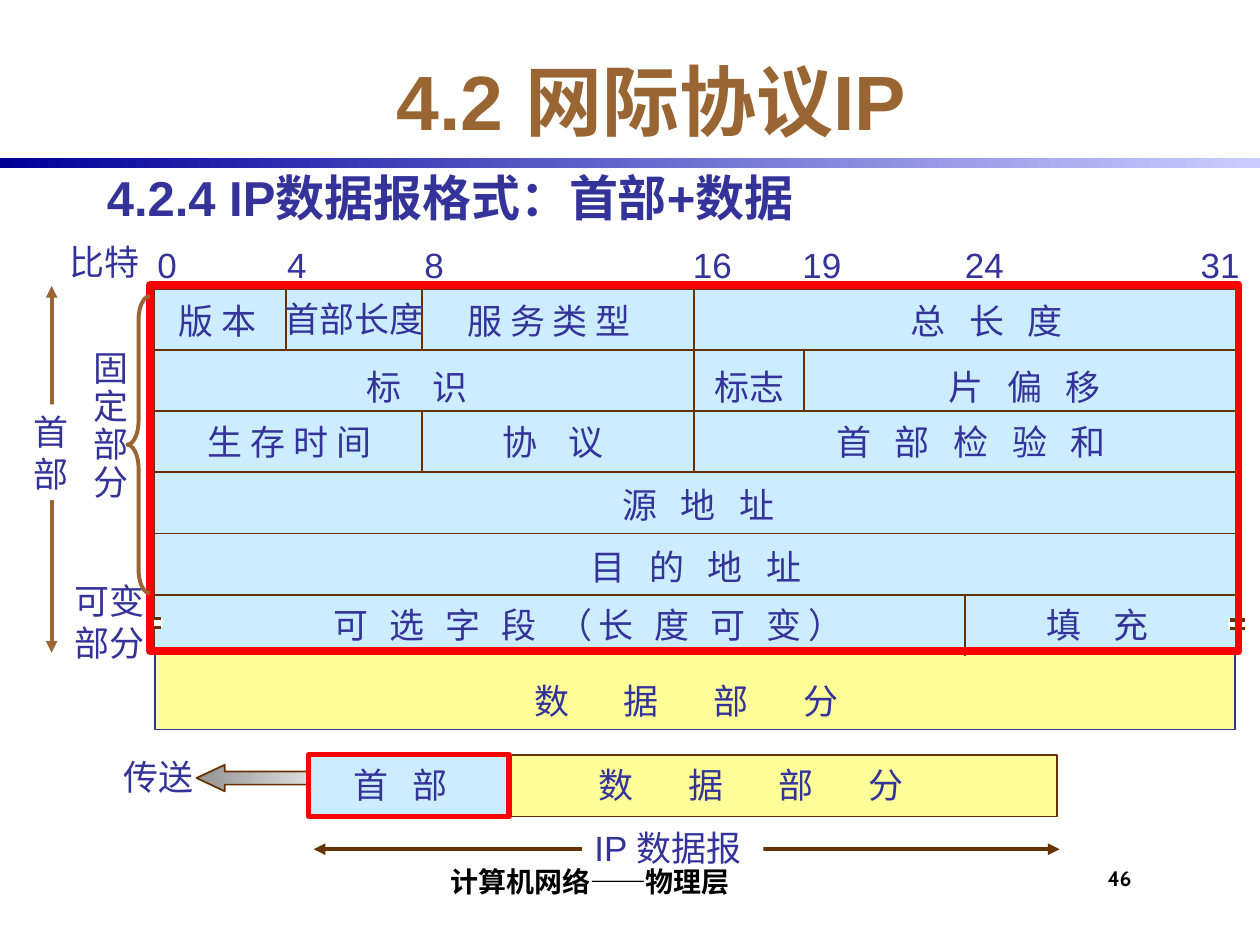
"""Build a slide that explains the layout of an IP datagram."""
import pptx
import pptx.dml.color
import pptx.enum.shapes
import pptx.enum.text
import pptx.oxml
import pptx.oxml.ns
import pptx.util

Inches, Pt = pptx.util.Inches, pptx.util.Pt
RGBColor = pptx.dml.color.RGBColor
SHAPE = pptx.enum.shapes.MSO_SHAPE
ALIGN = pptx.enum.text.PP_ALIGN
ANCHOR = pptx.enum.text.MSO_ANCHOR
AUTO = pptx.enum.text.MSO_AUTO_SIZE

INK = RGBColor(0x33, 0x33, 0x99)
TAN = RGBColor(0x99, 0x66, 0x33)
BROWN = RGBColor(0x66, 0x33, 0x00)
RED = RGBColor(0xFF, 0x00, 0x00)
BLACK = RGBColor(0x00, 0x00, 0x00)
WHITE = RGBColor(0xFF, 0xFF, 0xFF)
SKY = RGBColor(0xCC, 0xEC, 0xFF)
YELLOW = RGBColor(0xFF, 0xFF, 0x99)
LILAC = RGBColor(0xCC, 0xCC, 0xFF)
NAVY = RGBColor(0x00, 0x00, 0x99)
SILVER = RGBColor(0xDD, 0xDD, 0xDD)
GRAY = RGBColor(0x92, 0x92, 0x92)

TOP, ROW = 2.29, 0.486
SPACE = 4.48
SLACK = 0.4


def write(tf, text, size=20, font="Arial", color=INK, bold=False, align=ALIGN.LEFT,
          anchor=ANCHOR.TOP, wrap=False, leading=None, spacing=0,
          insets=(0.1, 0.05, 0.1, 0.05)):
    tf.margin_left, tf.margin_top, tf.margin_right, tf.margin_bottom = map(Inches, insets)
    tf.word_wrap = wrap
    tf.auto_size = AUTO.NONE if wrap else AUTO.SHAPE_TO_FIT_TEXT
    tf.vertical_anchor = anchor
    for i, line in enumerate(text.split("\n")):
        p = tf.paragraphs[0] if i == 0 else tf.add_paragraph()
        p.alignment = align
        if leading:
            p.line_spacing = leading
        r = p.add_run()
        r.text = line
        r.font.size, r.font.name, r.font.bold = Pt(size), font, bold
        r.font.color.rgb = color
        if spacing:
            r.font._element.set("spc", str(round(spacing * 100)))


class Canvas:
    def __init__(self, slide, line_color=BROWN):
        self.s = slide
        self.line_color = line_color

    def text(self, text, x, y, w, h=0.43, **style):
        box = self.s.shapes.add_textbox(Inches(x), Inches(y), Inches(w), Inches(h))
        write(box.text_frame, text, **style)

    def spaced(self, text, x, y, w, gap):
        if gap == 1:
            self.text(text, x, y, w)
        else:
            self.text(text, x, y, w + SLACK, wrap=True, spacing=SPACE * (gap - 1) / 2)

    def shape(self, x, y, w, h, kind=SHAPE.RECTANGLE, fill=None, line=None, width=1,
              adj=(), text=None, **style):
        sp = self.s.shapes.add_shape(kind, Inches(x), Inches(y), Inches(w), Inches(h))
        sp.shadow.inherit = False
        for i, value in enumerate(adj):
            sp.adjustments[i] = value
        if fill is None:
            sp.fill.background()
        elif isinstance(fill, list):
            sp.fill.gradient()
            sp.fill.gradient_angle = 180
            for stop, color in zip(sp.fill.gradient_stops, fill):
                stop.color.rgb = color
        else:
            sp.fill.solid()
            sp.fill.fore_color.rgb = fill
        if line is None:
            sp.line.fill.background()
        else:
            sp.line.color.rgb = line
            sp.line.width = Pt(width)
        if text:
            write(sp.text_frame, text, **style)

    def line(self, x1, y1, x2, y2, width=1, color=None, arrows=False):
        c = self.s.shapes.add_connector(
            pptx.enum.shapes.MSO_CONNECTOR.STRAIGHT,
            Inches(x1), Inches(y1), Inches(x2), Inches(y2))
        c.line.color.rgb = color or self.line_color
        c.line.width = Pt(width)
        qn = pptx.oxml.ns.qn
        if arrows:
            ln = c.line._get_or_add_ln()
            for tag in ("a:headEnd", "a:tailEnd"):
                ln.append(ln.makeelement(qn(tag), {"type": "triangle"}))
        sp_pr = c._element.spPr
        sp_pr.append(sp_pr.makeelement(qn("a:effectLst"), {}))

    def break_mark(self, x, y):
        self.shape(x, y, 0.14, 0.08, fill=WHITE)
        for dy in (0.01, 0.08):
            self.line(x + 0.01, y + dy, x + 0.13, y + dy, width=2)


def add_header_grid(c):
    c.shape(1.22, TOP, 8.6, 2.89, fill=SKY, line=BROWN, width=2)
    c.shape(1.23, 5.19, 8.57, 0.6, fill=YELLOW, line=INK)
    for i in range(1, 6):
        c.line(1.21, TOP + i * ROW, 9.83, TOP + i * ROW)
    for x, first, last in [(2.27, 0, 1), (3.35, 0, 1), (3.35, 2, 3), (5.51, 0, 3),
                           (7.66, 5, 6), (6.38, 1, 2)]:
        c.line(x, TOP + first * ROW, x, TOP + last * ROW)
    for bit, x in [("0", 1.15), ("4", 2.18), ("8", 3.27), ("16", 5.4),
                   ("19", 6.27), ("24", 7.56), ("31", 9.43)]:
        c.text(bit, x, 1.88, 0.35 if len(bit) == 1 else 0.51)
    for label, x, y, w, gap in [
            ("版 本", 1.32, 2.33, 0.82, 1), ("首部长度", 2.16, 2.31, 1.31, 1),
            ("服 务 类 型", 3.61, 2.33, 1.5, 1), ("总 长 度", 7.13, 2.33, 1.41, 3),
            ("标 识", 2.81, 2.85, 1, 4), ("标志", 5.57, 2.85, 0.76, 1),
            ("片 偏 移", 7.43, 2.85, 1.41, 3), ("生 存 时 间", 1.55, 3.29, 1.5, 1),
            ("协 议", 3.89, 3.29, 1, 4), ("首 部 检 验 和", 6.54, 3.29, 2.34, 3),
            ("源 地 址", 4.84, 3.79, 1.41, 3), ("目 的 地 址", 4.59, 4.28, 1.87, 3),
            ("填 充", 8.21, 4.74, 1, 4), ("数 据 部 分", 4.14, 5.34, 3.18, 7)]:
        c.spaced(label, x, y, w, gap)
    c.text("可 选 字 段 （长 度 可 变）", 2.55, 4.74, 4.23 + SLACK, wrap=True, spacing=3.7)
    c.break_mark(1.15, 4.9)
    c.break_mark(9.75, 4.91)


def add_side_labels(c):
    c.text("比特", 0.45, 1.86, 0.76)
    c.text("固\n定\n部\n分", 0.64, 2.74, 0.48, 1.3, leading=0.9)
    c.text("可变\n部分", 0.49, 4.55, 0.76, 0.76)
    c.line(0.41, 2.27, 0.41, 5.18, width=2.25, color=TAN, arrows=True)
    c.shape(0.17, 3.21, 0.48, 0.76, fill=WHITE, text="首\n部")


def add_datagram(c):
    c.line(2.49, 6.74, 8.41, 6.74, width=2.25, arrows=True)
    c.shape(1.56, 6.07, 0.9, 0.21, kind=SHAPE.LEFT_ARROW, fill=[SILVER, GRAY],
            line=BROWN, adj=(0.5, 1.07))
    c.shape(2.45, 5.99, 1.57, 0.49, fill=SKY, line=BROWN)
    c.shape(4.03, 5.99, 4.36, 0.49, fill=YELLOW, line=BROWN)
    c.spaced("数 据 部 分", 4.65, 6.01, 3.18, 7)
    c.spaced("首 部", 2.71, 6.01, 0.94, 3)
    c.text("传送", 0.88, 5.95, 0.76)
    c.shape(4.62, 6.51, 1.44, 0.43, fill=WHITE, text="IP 数据报")


def main():
    prs = pptx.Presentation()
    prs.slide_width, prs.slide_height = Inches(10), Inches(7.5)
    c = Canvas(prs.slides.add_slide(prs.slide_layouts[6]))
    c.shape(0, 1.25, 10, 0.08, fill=[LILAC, NAVY])
    c.text("46", 8.75, 6.83, 0.58, 0.42, size=12, font="Cabin", color=BLACK, bold=True,
           wrap=True, insets=(0.04, 0.04, 0, 0))
    c.text("4.2 网际协议IP", 0.92, 0.33, 8.5, 0.92, size=44, color=TAN, bold=True,
           align=ALIGN.CENTER, anchor=ANCHOR.MIDDLE, wrap=True)
    c.text("4.2.4 IP数据报格式：首部+数据", 0.75, 1.33, 8.5, 0.5, size=28, bold=True,
           leading=0.9, wrap=True)
    add_header_grid(c)
    add_datagram(c)
    add_side_labels(c)
    c.shape(1.19, 2.26, 8.64, 2.91, line=RED, width=4.5)
    c.shape(2.45, 5.99, 1.59, 0.49, line=RED, width=3)
    c.shape(1.01, 2.35, 0.18, 2.36, kind=SHAPE.LEFT_BRACE, line=TAN, width=2.25,
            adj=(1.05, 0.5))
    c.text("计算机网络——物理层", 2.08, 6.75, 5.17, 0.42, size=16, font="Cabin",
           color=BLACK, bold=True, align=ALIGN.CENTER, anchor=ANCHOR.BOTTOM, wrap=True,
           insets=(0.04, 0, 0, 0.04))
    prs.save("out.pptx")


if __name__ == "__main__":
    main()
